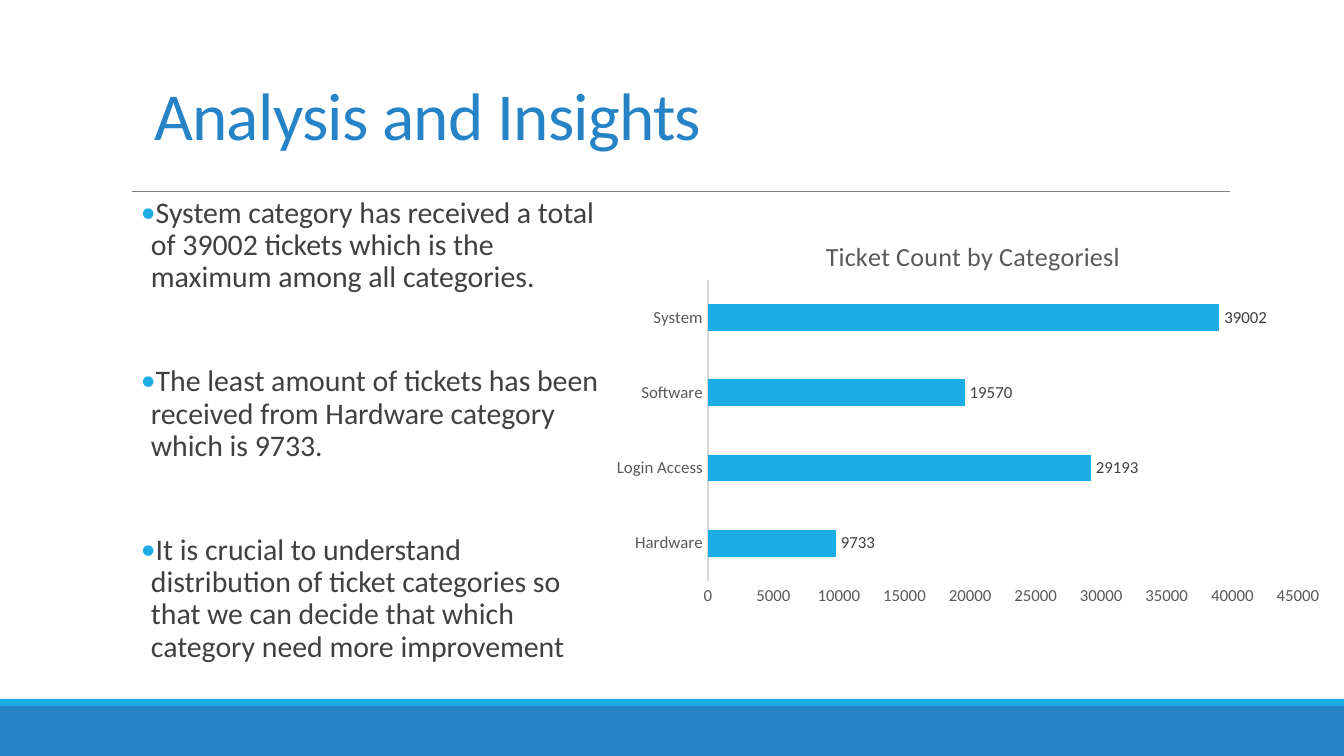
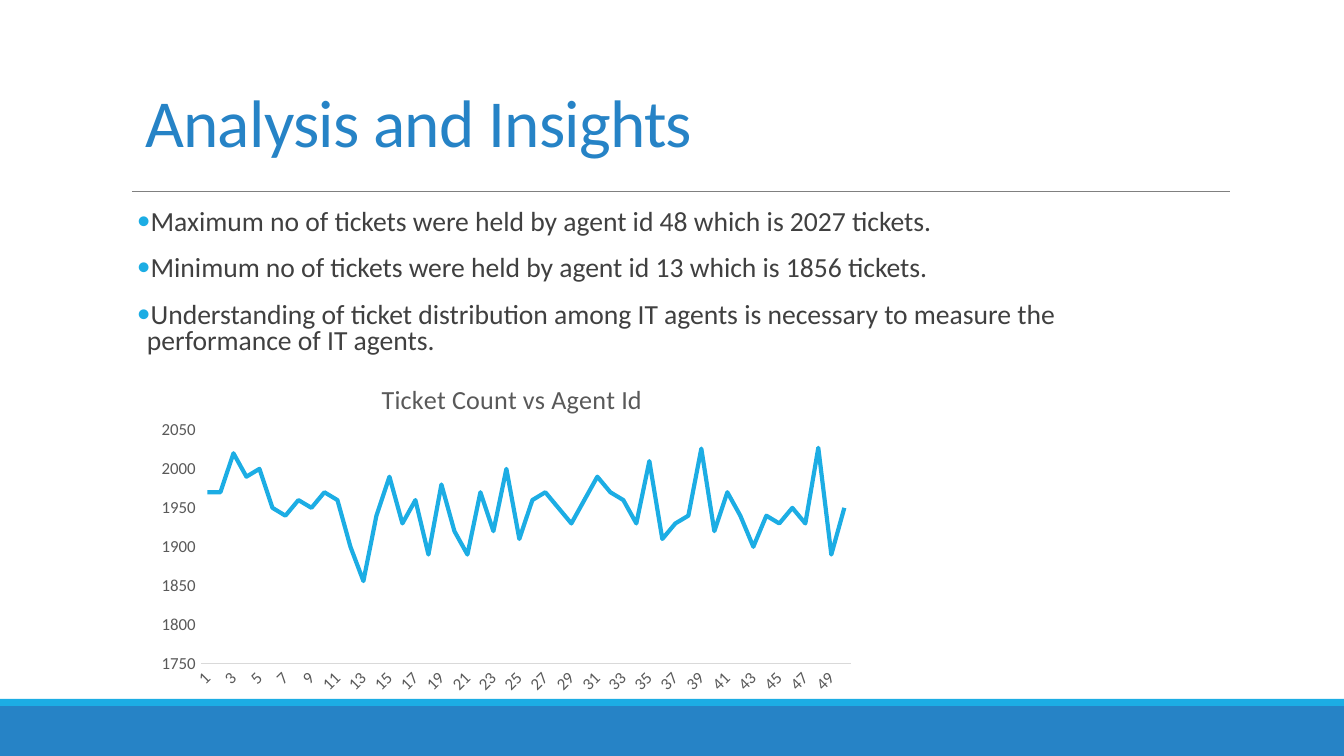
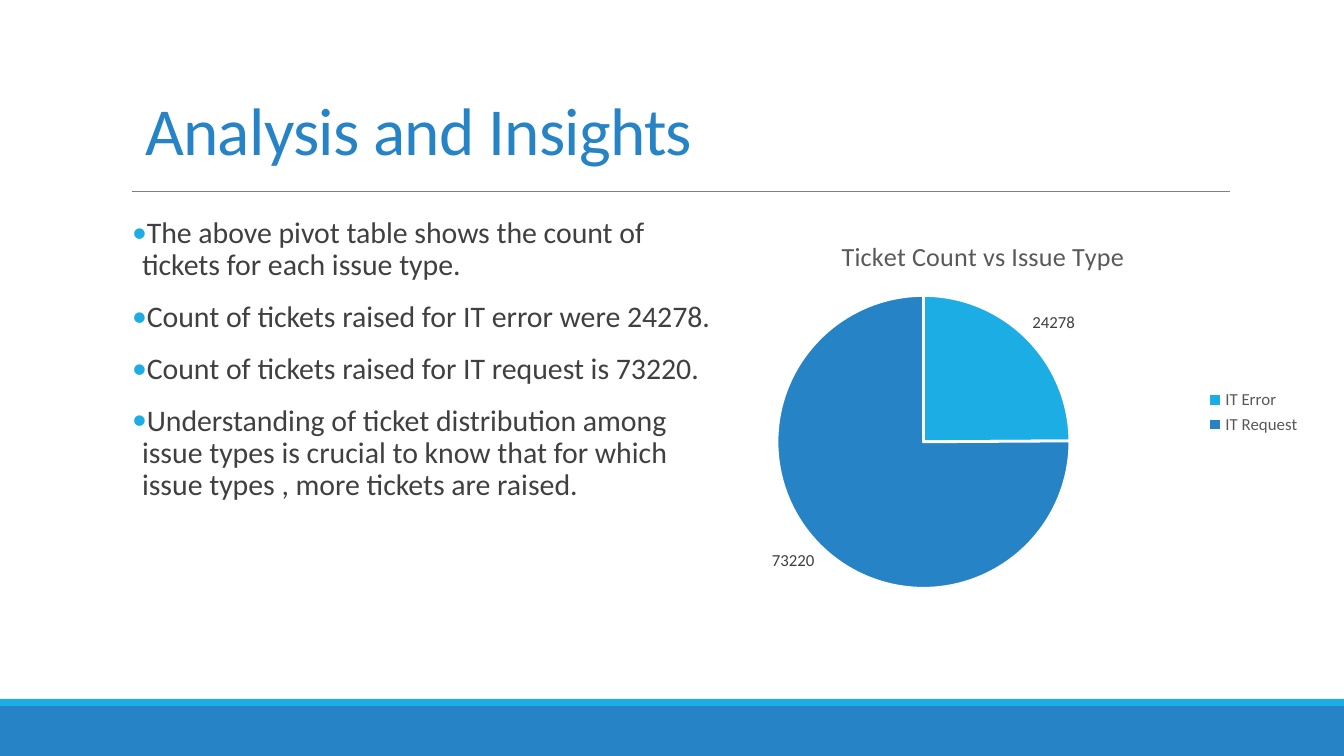
from dataclasses import dataclass
from typing import Any

from lxml.etree import SubElement
from pptx import Presentation
from pptx.chart.chart import Chart
from pptx.chart.data import CategoryChartData
from pptx.dml.color import RGBColor
from pptx.enum.chart import XL_CHART_TYPE, XL_LABEL_POSITION, XL_LEGEND_POSITION, XL_TICK_MARK
from pptx.enum.shapes import MSO_CONNECTOR, MSO_SHAPE
from pptx.enum.text import MSO_ANCHOR
from pptx.oxml import parse_xml
from pptx.oxml.ns import nsdecls, qn
from pptx.slide import Slide
from pptx.util import Emu, Pt

PX_PER_INCH = 134.4
SLIDE_WIDTH, SLIDE_HEIGHT = 1344, 756


def px(length: int) -> Emu:
    return Emu(round(length * 914400 / PX_PER_INCH))


def rgb(code: str) -> RGBColor:
    return RGBColor.from_string(code)


@dataclass(frozen=True)
class Theme:
    font: str = "Calibri"
    blue: str = "2683C6"
    sky: str = "1CADE4"
    rule: str = "808080"
    body: str = "404040"
    chart_text: str = "595959"
    axis: str = "D9D9D9"
    white: str = "FFFFFF"
    title_size: float = 36
    body_size: float = 16
    compact_size: float = 14.8
    chart_title_size: float = 14
    chart_size: float = 9


THEME = Theme()


@dataclass(frozen=True)
class Box:
    left: int
    top: int
    width: int
    height: int

    def emu(self) -> tuple[Emu, Emu, Emu, Emu]:
        return px(self.left), px(self.top), px(self.width), px(self.height)


@dataclass(frozen=True)
class Band:
    box: Box
    color: str


@dataclass(frozen=True)
class Insights:
    box: Box
    points: tuple[str, ...]
    size: float = THEME.body_size
    line_spacing: float = 0.9
    space_after: float = 1.5


@dataclass(frozen=True)
class TicketChart:
    kind: XL_CHART_TYPE
    title: str
    box: Box
    title_box: Box
    plot_box: Box
    counts: dict[str, int]


@dataclass(frozen=True)
class Page:
    heading_box: Box
    insights: Insights
    chart: TicketChart


HEADING = "Analysis and Insights"
BANDS = (
    Band(Box(0, 706, SLIDE_WIDTH, 50), THEME.blue),
    Band(Box(0, 699, SLIDE_WIDTH, 7), THEME.sky),
)
AGENT_COUNTS = (
    1970, 1970, 2020, 1990, 2000, 1950, 1940, 1960, 1950, 1970,
    1960, 1900, 1856, 1940, 1990, 1930, 1960, 1890, 1980, 1920,
    1890, 1970, 1920, 2000, 1910, 1960, 1970, 1950, 1930, 1960,
    1990, 1970, 1960, 1930, 2010, 1910, 1930, 1940, 2026, 1920,
    1970, 1940, 1900, 1940, 1930, 1950, 1930, 2027, 1890, 1950,
)

PAGES = (
    Page(
        Box(141, 55, 964, 106),
        Insights(
            Box(141, 191, 461, 536),
            (
                "System category has received a total of 39002 tickets which is "
                "the maximum among all categories.",
                "The least amount of tickets has been received from Hardware "
                "category which is 9733.",
                "It is crucial to understand distribution of ticket categories so "
                "that we can decide that which category need more improvement",
            ),
            space_after=29.5,
        ),
        TicketChart(
            XL_CHART_TYPE.BAR_CLUSTERED,
            "Ticket Count by Categoriesl",
            Box(602, 211, 732, 403),
            Box(821, 233, 293, 32),
            Box(708, 280, 590, 301),
            {"Hardware": 9733, "Login Access": 29193, "Software": 19570, "System": 39002},
        ),
    ),
    Page(
        Box(132, 62, 964, 106),
        Insights(
            Box(137, 204, 960, 169),
            (
                "Maximum no of tickets were held by agent id 48 which is 2027 tickets.",
                "Minimum no of tickets were held by agent id 13 which is 1856 tickets.",
                "Understanding of ticket distribution among IT agents is necessary "
                "to measure the performance of IT agents.",
            ),
            size=THEME.compact_size,
            line_spacing=0.8,
        ),
        TicketChart(
            XL_CHART_TYPE.LINE,
            "Ticket Count vs Agent Id",
            Box(146, 352, 719, 351),
            Box(377, 377, 260, 32),
            Box(201, 430, 650, 234),
            {str(agent): count for agent, count in enumerate(AGENT_COUNTS, 1)},
        ),
    ),
    Page(
        Box(132, 70, 964, 106),
        Insights(
            Box(132, 211, 589, 446),
            (
                "The above pivot table shows the count of tickets for each issue type.",
                "Count of tickets raised for IT error were 24278.",
                "Count of tickets raised for IT request is 73220.",
                "Understanding of ticket distribution among issue types is crucial "
                "to know that for which issue types , more tickets are raised.",
            ),
        ),
        TicketChart(
            XL_CHART_TYPE.PIE,
            "Ticket Count vs Issue Type",
            Box(642, 211, 672, 403),
            Box(837, 233, 282, 32),
            Box(777, 295, 293, 294),
            {"IT Error": 24278, "IT Request": 73220},
        ),
    ),
)


def style_font(font: Any, size: float, color: str) -> None:
    font.name = THEME.font
    font.size = Pt(size)
    font.bold = False
    font.color.rgb = rgb(color)


# Shared frame: bands, rule and heading
def draw_frame(slide: Slide) -> None:
    for band in BANDS:
        stripe = slide.shapes.add_shape(MSO_SHAPE.RECTANGLE, *band.box.emu())
        stripe.shadow.inherit = False
        stripe.fill.solid()
        stripe.fill.fore_color.rgb = rgb(band.color)
        stripe.line.fill.background()
    rule = slide.shapes.add_connector(
        MSO_CONNECTOR.STRAIGHT, px(132), px(192), px(1230), px(192)
    )
    rule.line.color.rgb = rgb(THEME.rule)
    rule.line.width = Pt(0.5)
    SubElement(rule._element.spPr, qn("a:effectLst"))


def draw_heading(slide: Slide, box: Box) -> None:
    frame = slide.shapes.add_textbox(*box.emu()).text_frame
    frame.word_wrap = True
    frame.vertical_anchor = MSO_ANCHOR.BOTTOM
    heading = frame.paragraphs[0]
    heading.line_spacing = 0.85
    style_font(heading.font, THEME.title_size, THEME.blue)
    run = heading.add_run()
    run.text = HEADING
    run._r.get_or_add_rPr().set("spc", "-40")


# Bulleted insights
def draw_insights(slide: Slide, insights: Insights) -> None:
    frame = slide.shapes.add_textbox(*insights.box.emu()).text_frame
    frame.word_wrap = True
    frame.margin_left = frame.margin_right = 0
    for index, point in enumerate(insights.points):
        paragraph = frame.add_paragraph() if index else frame.paragraphs[0]
        paragraph.text = point
        paragraph.line_spacing = insights.line_spacing
        paragraph.space_before = Pt(9)
        paragraph.space_after = Pt(insights.space_after)
        style_font(paragraph.font, insights.size, THEME.body)
        add_bullet(paragraph)


def add_bullet(paragraph: Any) -> None:
    properties = paragraph._p.get_or_add_pPr()
    properties.set("marL", str(px(10)))
    properties.set("indent", str(-px(10)))
    bullet = (
        f'<a:buClr {nsdecls("a")}><a:srgbClr val="{THEME.sky}"/></a:buClr>',
        f'<a:buFont {nsdecls("a")} typeface="{THEME.font}"/>',
        f'<a:buChar {nsdecls("a")} char="•"/>',
    )
    position = properties.index(properties.find(qn("a:spcAft"))) + 1
    for offset, part in enumerate(bullet):
        properties.insert(position + offset, parse_xml(part))


# Charts
def place(parent: Any, position: int, part: Box, whole: Box) -> None:
    for automatic in parent.findall(qn("c:layout")):
        parent.remove(automatic)
    layout = parent.makeelement(qn("c:layout"))
    manual = SubElement(layout, qn("c:manualLayout"))
    settings = {
        "layoutTarget": "inner",
        "xMode": "edge",
        "yMode": "edge",
        "x": (part.left - whole.left) / whole.width,
        "y": (part.top - whole.top) / whole.height,
        "w": part.width / whole.width,
        "h": part.height / whole.height,
    }
    for tag, value in settings.items():
        SubElement(manual, qn(f"c:{tag}")).set("val", str(value))
    parent.insert(position, layout)


def style_axes(chart: Chart) -> None:
    for axis in (chart.category_axis, chart.value_axis):
        axis.has_major_gridlines = False
        axis.major_tick_mark = axis.minor_tick_mark = XL_TICK_MARK.NONE
        style_font(axis.tick_labels.font, THEME.chart_size, THEME.chart_text)
    chart.category_axis.format.line.color.rgb = rgb(THEME.axis)
    chart.category_axis.format.line.width = Pt(0.75)
    chart.value_axis.format.line.fill.background()


def scale_values(chart: Chart, low: int, high: int, step: int) -> None:
    chart.value_axis.minimum_scale = low
    chart.value_axis.maximum_scale = high
    chart.value_axis.major_unit = step


def label_values(chart: Chart) -> None:
    chart.plots[0].has_data_labels = True
    labels = chart.plots[0].data_labels
    labels.show_value = True
    labels.show_percentage = False
    labels.position = XL_LABEL_POSITION.OUTSIDE_END
    style_font(labels.font, THEME.chart_size, THEME.body)


def style_bars(chart: Chart) -> None:
    style_axes(chart)
    scale_values(chart, 0, 45000, 5000)
    label_values(chart)
    chart.plots[0].gap_width = 182
    bars = chart.plots[0].series[0]
    bars.format.fill.solid()
    bars.format.fill.fore_color.rgb = rgb(THEME.sky)


def style_line(chart: Chart) -> None:
    style_axes(chart)
    scale_values(chart, 1750, 2050, 50)
    agents = chart.category_axis._element
    agents.find(qn("c:txPr")).find(qn("a:bodyPr")).set("rot", "-2700000")
    trend = chart.plots[0].series[0]
    trend.smooth = False
    trend.format.line.color.rgb = rgb(THEME.sky)
    trend.format.line.width = Pt(2.25)


def style_pie(chart: Chart) -> None:
    label_values(chart)
    for index, color in enumerate((THEME.sky, THEME.blue)):
        slice_format = chart.plots[0].series[0].points[index].format
        slice_format.fill.solid()
        slice_format.fill.fore_color.rgb = rgb(color)
        slice_format.line.color.rgb = rgb(THEME.white)
        slice_format.line.width = Pt(1.5)
    chart.has_legend = True
    chart.legend.position = XL_LEGEND_POSITION.RIGHT
    chart.legend.include_in_layout = False
    style_font(chart.legend.font, THEME.chart_size, THEME.chart_text)


CHART_STYLES = {
    XL_CHART_TYPE.BAR_CLUSTERED: style_bars,
    XL_CHART_TYPE.LINE: style_line,
    XL_CHART_TYPE.PIE: style_pie,
}


def draw_chart(slide: Slide, tickets: TicketChart) -> None:
    data = CategoryChartData()
    data.categories = list(tickets.counts)
    data.add_series("Series 1", list(tickets.counts.values()))
    chart = slide.shapes.add_chart(tickets.kind, *tickets.box.emu(), data).chart
    style_font(chart.font, THEME.chart_size, THEME.chart_text)
    chart.has_legend = False
    chart.has_title = True
    caption = chart.chart_title.text_frame.paragraphs[0]
    caption.text = tickets.title
    style_font(caption.font, THEME.chart_title_size, THEME.chart_text)
    chart.plots[0].vary_by_categories = tickets.kind == XL_CHART_TYPE.PIE
    CHART_STYLES[tickets.kind](chart)
    place(chart.chart_title._element, 1, tickets.title_box, tickets.box)
    place(chart._chartSpace.chart.plotArea, 0, tickets.plot_box, tickets.box)


def main() -> None:
    deck = Presentation()
    deck.slide_width, deck.slide_height = px(SLIDE_WIDTH), px(SLIDE_HEIGHT)
    for page in PAGES:
        slide = deck.slides.add_slide(deck.slide_layouts[6])
        draw_frame(slide)
        draw_heading(slide, page.heading_box)
        draw_insights(slide, page.insights)
        draw_chart(slide, page.chart)
    deck.save("out.pptx")


if __name__ == "__main__":
    main()
